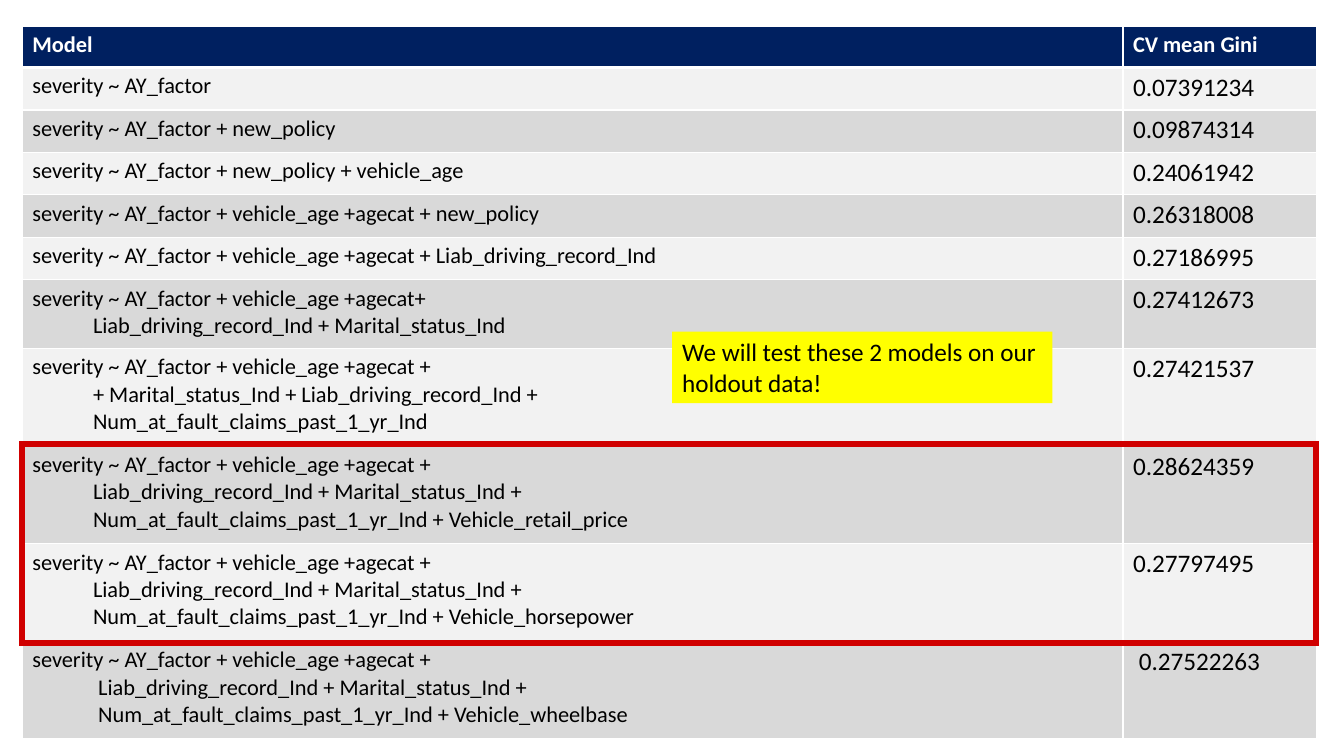
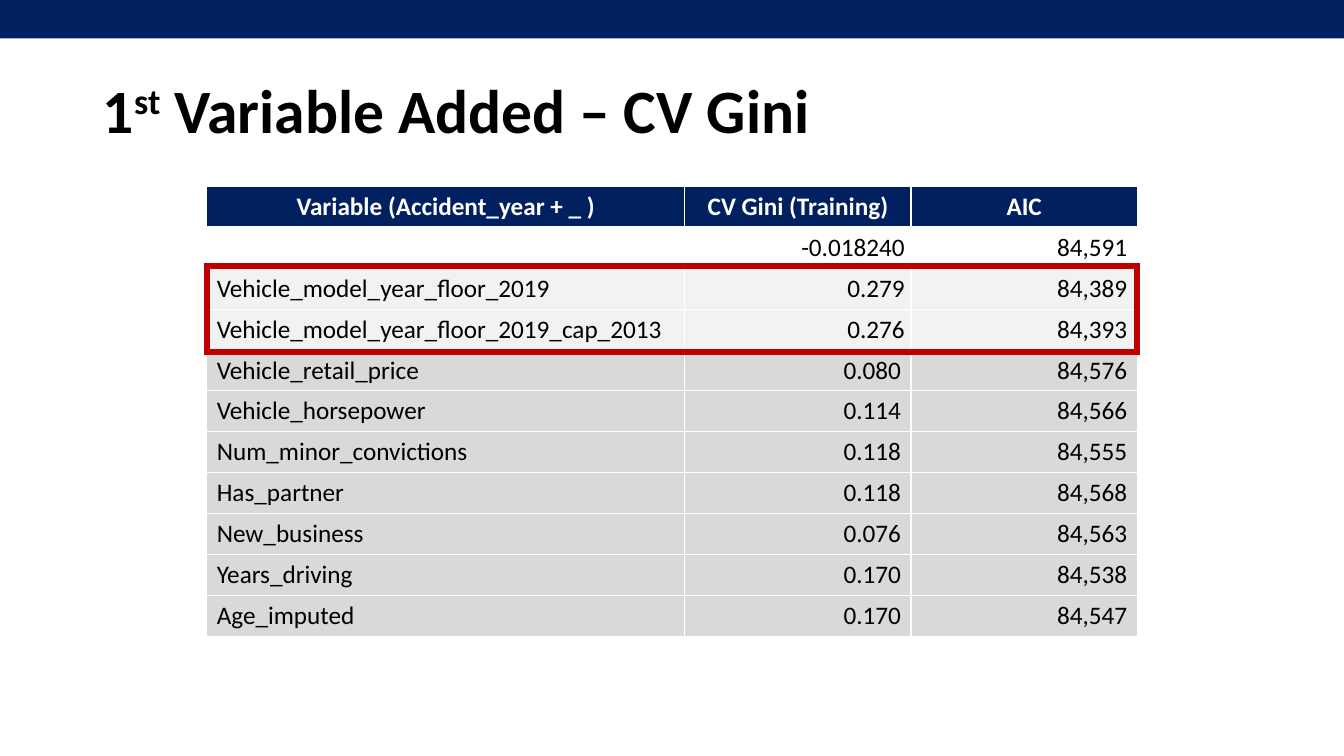
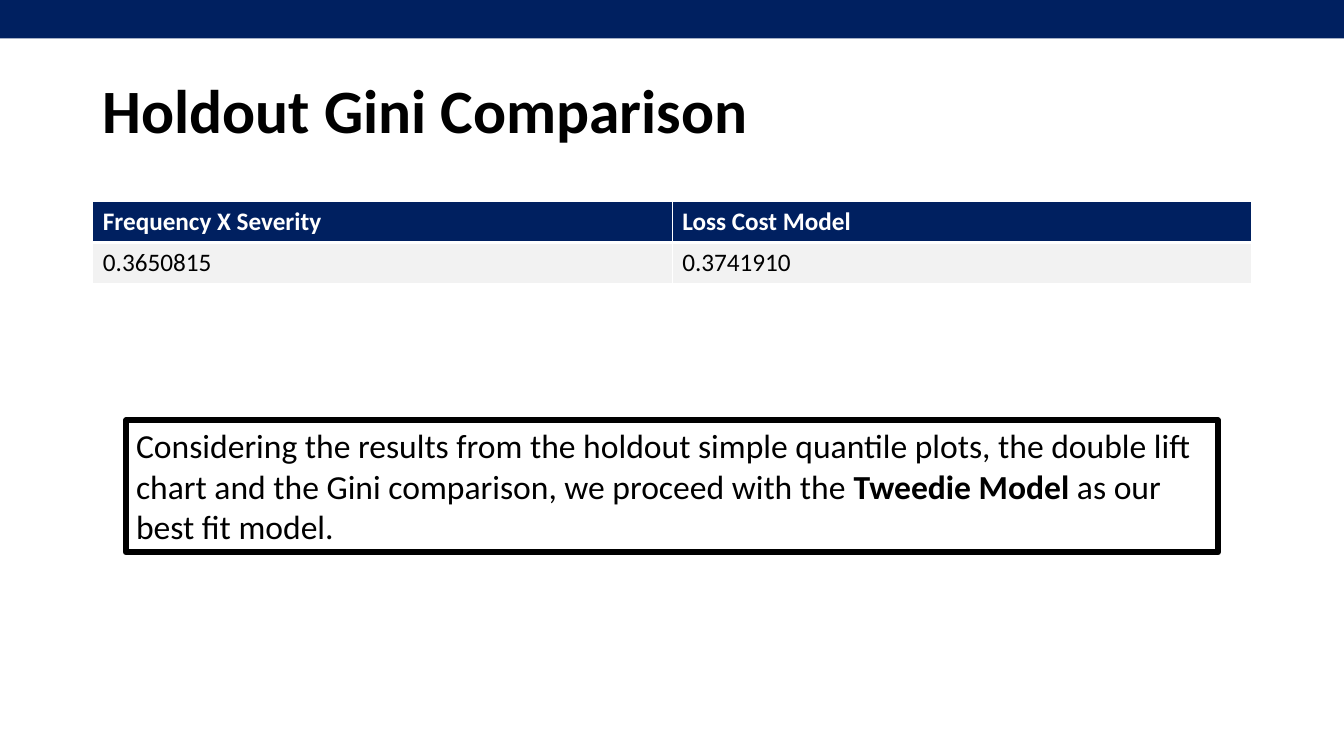
from lxml import etree
from pptx import Presentation
from pptx.dml.color import RGBColor
from pptx.enum.shapes import MSO_SHAPE
from pptx.enum.text import MSO_ANCHOR, MSO_AUTO_SIZE, PP_ALIGN
from pptx.oxml.ns import qn
from pptx.util import Cm, Pt

RECT = MSO_SHAPE.RECTANGLE
LEFT, CENTER, RIGHT = PP_ALIGN.LEFT, PP_ALIGN.CENTER, PP_ALIGN.RIGHT
TOP, MIDDLE = MSO_ANCHOR.TOP, MSO_ANCHOR.MIDDLE
NO_FIT = MSO_AUTO_SIZE.NONE

# Shared look
FONT = "Calibri"
NAVY, WHITE, BLACK = "002060", "FFFFFF", "000000"
LIGHT, GREY, YELLOW = "F2F2F2", "D9D9D9", "FFFF00"
SLIDE_W, SLIDE_H = 33.87, 19.05
FRAME_WIDTH = 4.5
TITLE_ONLY, BLANK = 5, 6
TIGHT = {"margin_left": Cm(0.16), "margin_right": Cm(0.16),
         "margin_top": Cm(0.04), "margin_bottom": Cm(0.04),
         "vertical_anchor": MIDDLE}

# Slide 1 content: model terms and score; later lines of a model are indented
BASE = "severity ~ AY_factor"
AGE = BASE + " + vehicle_age +agecat"
LIAB = "Liab_driving_record_Ind"
MARITAL = "Marital_status_Ind"
CLAIMS = "Num_at_fault_claims_past_1_yr_Ind"
FULL = f"{AGE} +\n{LIAB} + {MARITAL} +\n{CLAIMS} + "
MODELS = [
    ("Model", "CV mean Gini"),
    (BASE, "0.07391234"),
    (BASE + " + new_policy", "0.09874314"),
    (BASE + " + new_policy + vehicle_age", "0.24061942"),
    (AGE + " + new_policy", "0.26318008"),
    (f"{AGE} + {LIAB}", "0.27186995"),
    (f"{AGE}+\n{LIAB} + {MARITAL}", "0.27412673"),
    (f"{AGE} +\n+ {MARITAL} + {LIAB} +\n{CLAIMS}", "0.27421537"),
    (FULL + "Vehicle_retail_price", "0.28624359"),
    (FULL + "Vehicle_horsepower", "0.27797495"),
    (FULL + "Vehicle_wheelbase", "0.27522263"),
]
LINE_HEIGHTS = {1: 1.07, 2: 1.73, 3: 2.46}

# Slide 2 content
VARIABLES = [
    ("Variable (Accident_year + _ )", "CV Gini (Training)", "AIC"),
    ("", "-0.018240", "84,591"),
    ("Vehicle_model_year_floor_2019", "0.279", "84,389"),
    ("Vehicle_model_year_floor_2019_cap_2013", "0.276", "84,393"),
    ("Vehicle_retail_price", "0.080", "84,576"),
    ("Vehicle_horsepower", "0.114", "84,566"),
    ("Num_minor_convictions", "0.118", "84,555"),
    ("Has_partner", "0.118", "84,568"),
    ("New_business", "0.076", "84,563"),
    ("Years_driving", "0.170", "84,538"),
    ("Age_imputed", "0.170", "84,547"),
]

# Slide 3 content
HOLDOUT = [("Frequency X Severity", "Loss Cost Model"),
           ("0.3650815", "0.3741910")]


def rgb(value):
    return RGBColor.from_string(value)


def set_all(obj, values):
    for name, value in values.items():
        setattr(obj, name, value)


def add_run(p, text, size, color=BLACK, bold=False):
    r = p.add_run()
    r.text = text
    set_all(r.font, {"name": FONT, "size": Pt(size), "bold": bold})
    r.font.color.rgb = rgb(color)
    return r


def paint(sp, fill=None, line=None):
    """Give a shape its fill and outline, or none of them."""
    if fill:
        sp.fill.solid()
        sp.fill.fore_color.rgb = rgb(fill)
    else:
        sp.fill.background()
    if line:
        sp.line.width = Pt(FRAME_WIDTH)
        sp.line.color.rgb = rgb(line)
    else:
        sp.line.fill.background()


def add_rect(s, x, y, w, h, fill=None, line=None):
    sp = s.shapes.add_shape(RECT, Cm(x), Cm(y), Cm(w), Cm(h))
    sp.shadow.inherit = False
    paint(sp, fill, line)
    if line:
        etree.SubElement(sp.line._get_or_add_ln(), qn("a:miter"), lim="800000")


def add_text(s, x, y, w, h, parts, size, fill=None, line=None):
    """Text box; parts are (text, bold) pairs."""
    sp = s.shapes.add_textbox(Cm(x), Cm(y), Cm(w), Cm(h))
    paint(sp, fill, line)
    tf = sp.text_frame
    set_all(tf, {"word_wrap": True, "vertical_anchor": TOP})
    for text, bold in parts:
        add_run(tf.paragraphs[0], text, size, bold=bold)


def add_title(s, *parts):
    """Title placeholder; every second part is superscript."""
    sp = s.shapes.title
    set_all(sp, {"left": Cm(2.34), "top": Cm(1.02),
                 "width": Cm(29.21), "height": Cm(3.68)})
    tf = sp.text_frame
    set_all(tf, {"vertical_anchor": MIDDLE, "auto_size": NO_FIT})
    p = tf.paragraphs[0]
    set_all(p, {"alignment": LEFT, "line_spacing": 0.9})
    for i, text in enumerate(parts):
        r = add_run(p, text, 44, bold=True)
        if i % 2:
            r.font._element.set("baseline", "30000")


def add_band(s):
    add_rect(s, 0, 0, SLIDE_W, 0.97, fill=NAVY)


def add_borders(cell, header):
    tc_pr = cell._tc.get_or_add_tcPr()
    for side in "LRTB":
        width = 3 if header and side == "B" else 1
        ln = etree.SubElement(tc_pr, qn("a:ln" + side), w=str(Pt(width)))
        fill = etree.SubElement(ln, qn("a:solidFill"))
        etree.SubElement(fill, qn("a:srgbClr"), val=WHITE)


def fill_cell(cell, text, size, fill, align, header, indent):
    add_borders(cell, header)
    cell.fill.solid()
    cell.fill.fore_color.rgb = rgb(fill)
    tf = cell.text_frame
    for i, line in enumerate(text.split("\n")):
        p = tf.add_paragraph() if i else tf.paragraphs[0]
        p.alignment = align
        if i:
            p._p.get_or_add_pPr().set("marL", str(Cm(indent)))
        if line:
            add_run(p, line, size, WHITE if header else BLACK, header)


def add_grid(s, x, y, widths, heights, rows, fills, sizes, aligns,
             header_size=18, header_align=LEFT, indent=1.53):
    """Table with a navy header; fills go by body row, sizes by column."""
    shape = s.shapes.add_table(len(rows), len(widths), Cm(x), Cm(y),
                               Cm(sum(widths)), Cm(sum(heights)))
    table = shape.table
    for column, width in zip(table.columns, widths):
        column.width = Cm(width)
    for i, (texts, height) in enumerate(zip(rows, heights)):
        table.rows[i].height = Cm(height)
        header = i == 0
        for j, text in enumerate(texts):
            fill_cell(table.cell(i, j), text,
                      header_size if header else sizes[j],
                      NAVY if header else fills[i - 1],
                      header_align if header else aligns[j], header, indent)
    return table


def frame_rows(s, x, y, widths, heights, first, count, color):
    """Outline a run of table rows."""
    pad = 0.05
    add_rect(s, x, y + sum(heights[:first]) - pad, sum(widths),
             sum(heights[first:first + count]) + 2 * pad, line=color)


def models_slide(prs):
    s = prs.slides.add_slide(prs.slide_layouts[BLANK])
    x, y, widths = 0.56, 0.66, (27.74, 4.87)
    heights = [1.04] + [LINE_HEIGHTS[m.count("\n") + 1] for m, _ in MODELS[1:]]
    fills = [(LIGHT, GREY)[i % 2] for i in range(len(MODELS) - 1)]
    table = add_grid(s, x, y, widths, heights, MODELS, fills, (16, 18),
                     (LEFT, LEFT), header_size=16)
    # The last model sits slightly further in
    last = len(MODELS) - 1
    for p in table.cell(last, 0).text_frame.paragraphs[1:]:
        p._p.pPr.set("marL", str(Cm(1.66)))
    table.cell(last, 1).margin_left = Cm(0.4)
    frame_rows(s, x, y, widths, heights, 8, 2, "D00000")
    add_text(s, 16.94, 8.36, 9.58, 1.8,
             [("We will test these 2 models on our holdout data!", False)],
             18, fill=YELLOW)


def variables_slide(prs):
    s = prs.slides.add_slide(prs.slide_layouts[TITLE_ONLY])
    add_title(s, "1", "st", " Variable Added – CV Gini")
    x, y, widths = 5.21, 4.7, (12.05, 5.7, 5.7)
    heights = [1.03] * len(VARIABLES)
    fills = [WHITE] + [LIGHT] * 2 + [GREY] * 7
    table = add_grid(s, x, y, widths, heights, VARIABLES, fills, (18, 18, 18),
                     (LEFT, RIGHT, RIGHT), header_align=CENTER)
    for i in range(1, 4):
        set_all(table.cell(i, 1), TIGHT)
    frame_rows(s, x, y, widths, heights, 2, 2, "C00000")
    add_band(s)


def holdout_slide(prs):
    s = prs.slides.add_slide(prs.slide_layouts[TITLE_ONLY])
    add_title(s, "Holdout Gini Comparison")
    add_grid(s, 2.34, 5.08, (14.6, 14.6), (1.03, 1.03), HOLDOUT, [LIGHT],
             (18, 18), (LEFT, LEFT))
    add_text(s, 3.18, 10.59, 27.51, 3.33, [
        ("Considering the results from the holdout simple quantile plots, the "
         "double lift chart and the Gini comparison, we proceed with the ",
         False),
        ("Tweedie Model", True),
        (" as our best fit model.", False)], 24, line=BLACK)
    add_band(s)


def main():
    prs = Presentation()
    prs.slide_width, prs.slide_height = Cm(SLIDE_W), Cm(SLIDE_H)
    models_slide(prs)
    variables_slide(prs)
    holdout_slide(prs)
    prs.save("out.pptx")


if __name__ == "__main__":
    main()
